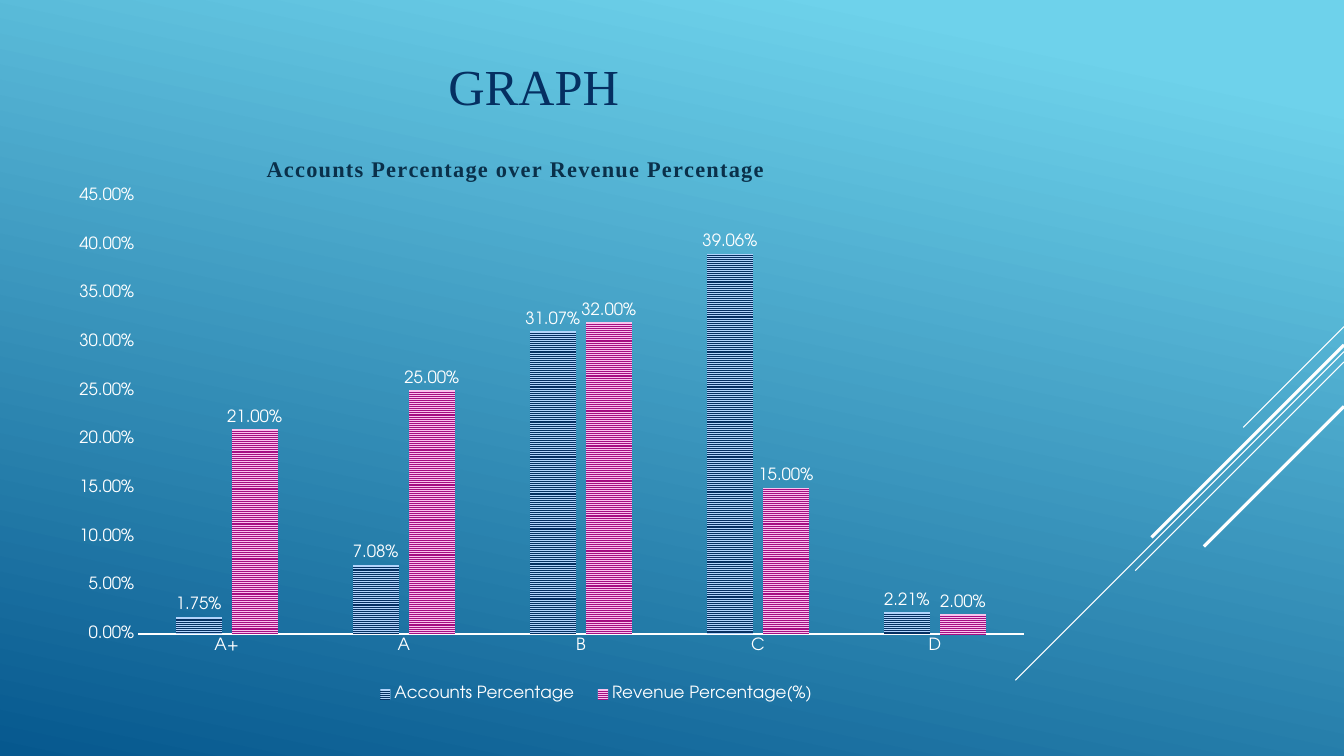
from typing import Any, NamedTuple

from lxml import etree
from pptx import Presentation
from pptx.chart.data import CategoryChartData
from pptx.dml.color import RGBColor
from pptx.enum.chart import (XL_CHART_TYPE, XL_LABEL_POSITION,
                             XL_LEGEND_POSITION, XL_TICK_MARK)
from pptx.enum.dml import MSO_PATTERN
from pptx.enum.shapes import MSO_CONNECTOR
from pptx.enum.text import MSO_ANCHOR, PP_ALIGN
from pptx.oxml.ns import qn
from pptx.util import Cm, Pt

COLUMNS = XL_CHART_TYPE.COLUMN_CLUSTERED
OUTSIDE = XL_LABEL_POSITION.OUTSIDE_END
TOP = XL_LEGEND_POSITION.TOP
NO_TICK = XL_TICK_MARK.NONE
STRIPES = MSO_PATTERN.NARROW_HORIZONTAL
STRAIGHT = MSO_CONNECTOR.STRAIGHT
MIDDLE = MSO_ANCHOR.MIDDLE
CENTER = PP_ALIGN.CENTER

WIDTH, HEIGHT = 33.87, 19.05
SERIF, SANS = "Times New Roman", "TeX Gyre Adventor"
PERCENT = "0.00%"
COLORS = {
    "sky": "6ED2EB", "sea": "06588E", "white": "FFFFFF",
    "navy": "052F61", "pale_blue": "B1D3FB",
    "magenta": "A50E82", "pale_pink": "FAC2ED", "ink": "0A304A",
}


class Ray(NamedTuple):
    """A 45 degree line that runs down and left from the right edge."""
    top: float
    reach: float
    weight: float


class Bars(NamedTuple):
    """One chart series with its stripe colours."""
    name: str
    values: tuple[float, ...]
    fore: str
    back: str


RAYS = [
    Ray(8.23, 2.54, 0.75),
    Ray(8.86, 8.28, 0.75),
    Ray(9.12, 5.26, 0.75),
    Ray(8.69, 4.85, 2.25),
    Ray(10.24, 3.53, 2.25),
]
GRADES = ("A+", "A", "B", "C", "D")
SERIES = [
    Bars("Accounts Percentage", (0.0175, 0.0708, 0.3107, 0.3906, 0.0221),
         "navy", "pale_blue"),
    Bars("Revenue Percentage(%)", (0.21, 0.25, 0.32, 0.15, 0.02),
         "magenta", "pale_pink"),
]


def rgb(name: str) -> RGBColor:
    """Look up a palette colour."""
    return RGBColor.from_string(COLORS[name])


def apply(obj: Any, formats: dict[str, Any]) -> None:
    """Set each format value on an object."""
    for name, value in formats.items():
        setattr(obj, name, value)


def style_font(font: Any, size: float, color: str = "white",
               name: str = SANS, bold: bool = False) -> None:
    """Set a font's face, size, weight and colour."""
    apply(font, {"name": name, "size": Pt(size), "bold": bold})
    font.color.rgb = rgb(color)


def paint_background(slide: Any) -> None:
    """Fill the slide with the sky to sea gradient."""
    fill = slide.background.fill
    fill.gradient()
    fill.gradient_angle = 258
    stops = ((0.1, "sky"), (1.0, "sea"))
    for stop, (position, color) in zip(fill.gradient_stops, stops):
        stop.position = position
        stop.color.rgb = rgb(color)


def draw_ray(slide: Any, ray: Ray) -> None:
    """Draw one white diagonal line."""
    cxn = slide.shapes.add_connector(
        STRAIGHT, Cm(WIDTH), Cm(ray.top),
        Cm(WIDTH - ray.reach), Cm(ray.top + ray.reach))
    cxn.line.color.rgb = rgb("white")
    cxn.line.width = Pt(ray.weight)
    etree.SubElement(cxn.element.spPr, qn("a:effectLst"))


def add_heading(slide: Any, text: str) -> None:
    """Add the slide heading."""
    sp = slide.shapes.add_textbox(Cm(1.6), Cm(0.05), Cm(23.7), Cm(4.19))
    tf = sp.text_frame
    apply(tf, {"word_wrap": True, "vertical_anchor": MIDDLE})
    p = tf.paragraphs[0]
    p.alignment = CENTER
    r = p.add_run()
    r.text = text
    style_font(r.font, 36, "navy", SERIF)


def place(part: Any, index: int, **values: Any) -> None:
    """Give a chart part a manual layout, as fractions of the chart."""
    for old in part.findall(qn("c:layout")):
        part.remove(old)
    layout = etree.Element(qn("c:layout"))
    manual = etree.SubElement(layout, qn("c:manualLayout"))
    for tag, value in values.items():
        etree.SubElement(manual, qn(f"c:{tag}")).set("val", str(value))
    part.insert(index, layout)


def style_series(series: Any, bars: Bars) -> None:
    """Stripe the columns and label their values."""
    fill = series.format.fill
    fill.patterned()
    fill.pattern = STRIPES
    fill.fore_color.rgb = rgb(bars.fore)
    fill.back_color.rgb = rgb(bars.back)
    series.format.line.fill.background()
    labels = series.data_labels
    apply(labels, {"show_value": True, "position": OUTSIDE,
                   "number_format": PERCENT,
                   "number_format_is_linked": False})
    style_font(labels.font, 12)


def style_axes(chart: Any) -> None:
    """Format both axes."""
    cat, val = chart.category_axis, chart.value_axis
    for axis in (cat, val):
        apply(axis, {"major_tick_mark": NO_TICK, "minor_tick_mark": NO_TICK,
                     "has_major_gridlines": False})
        style_font(axis.tick_labels.font, 12)
    cat.format.line.color.rgb = rgb("white")
    cat.format.line.width = Pt(1.5)
    val.format.line.fill.background()
    apply(val, {"minimum_scale": 0, "maximum_scale": 0.45,
                "major_unit": 0.05})
    apply(val.tick_labels, {"number_format": PERCENT,
                            "number_format_is_linked": False})


def add_percentages(slide: Any, title: str) -> None:
    """Add the column chart with its title and legend."""
    data = CategoryChartData(number_format=PERCENT)
    data.categories = GRADES
    for bars in SERIES:
        data.add_series(bars.name, bars.values)
    chart = slide.shapes.add_chart(
        COLUMNS, Cm(1.6), Cm(3.35), Cm(25.1), Cm(15.21), data).chart
    style_font(chart.font, 10)
    apply(chart, {"has_title": True, "has_legend": True})
    r = chart.chart_title.text_frame.paragraphs[0].add_run()
    r.text = title
    style_font(r.font, 16, "ink", SERIF, bold=True)
    for props in chart.element.xpath("c:chart/c:title//a:r/a:rPr"):
        props.set("spc", "100")
    apply(chart.legend, {"position": TOP, "include_in_layout": False})
    style_font(chart.legend.font, 12)
    plot = chart.plots[0]
    apply(plot, {"gap_width": 164, "overlap": -22, "vary_by_categories": False})
    for series, bars in zip(plot.series, SERIES):
        style_series(series, bars)
    style_axes(chart)

    root = chart.element
    edges = {"xMode": "edge", "yMode": "edge"}
    place(root.xpath("c:chart/c:title")[0], 1, **edges, x=0.2, y=0.03)
    place(root.xpath("c:chart/c:legend")[0], 1, **edges,
          x=0.3, y=0.9, w=0.47, h=0.06)
    place(root.xpath("c:chart/c:plotArea")[0], 0, layoutTarget="inner",
          **edges, x=0.075, y=0.104, w=0.889, h=0.726)


def main() -> None:
    """Build and save the slide."""
    prs = Presentation()
    apply(prs, {"slide_width": Cm(WIDTH), "slide_height": Cm(HEIGHT)})
    slide = prs.slides.add_slide(prs.slide_layouts[6])
    paint_background(slide)
    for ray in RAYS:
        draw_ray(slide, ray)
    add_heading(slide, "GRAPH")
    add_percentages(slide, "Accounts Percentage over Revenue Percentage")
    prs.save("out.pptx")


main()
